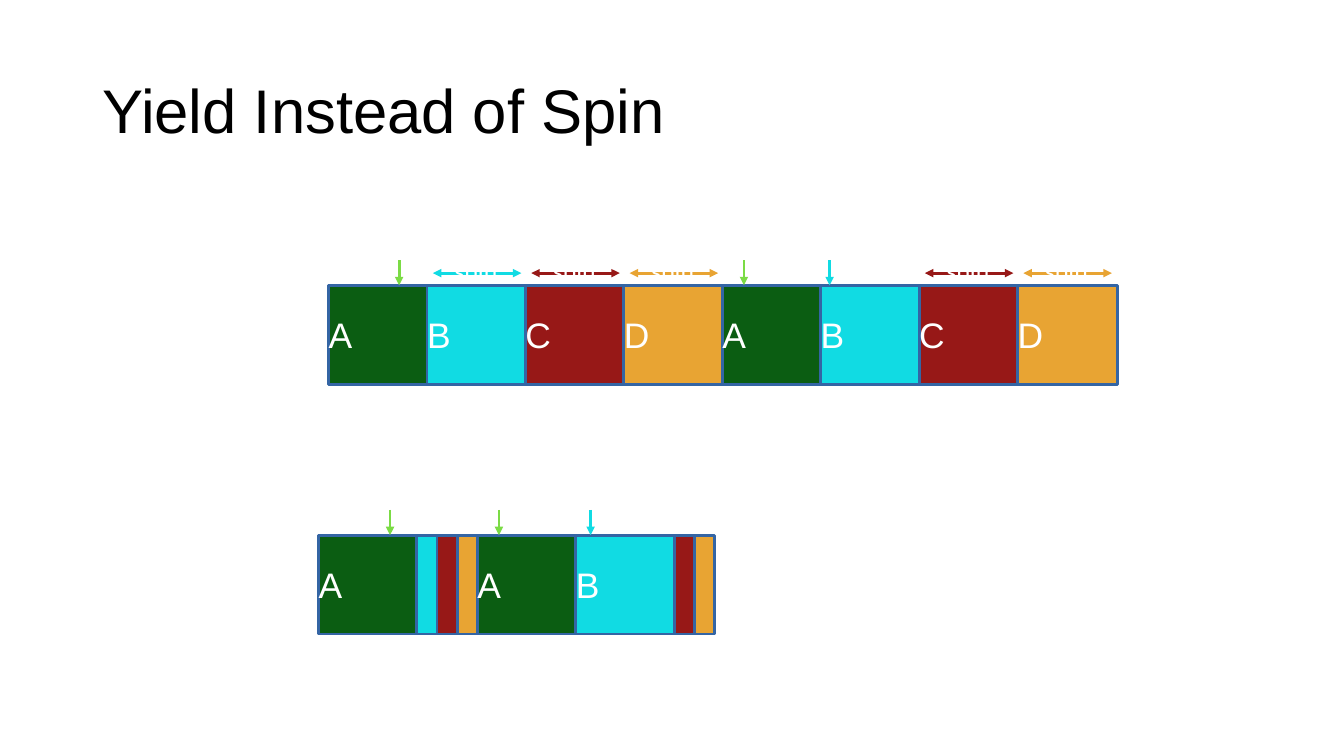
from lxml.etree import SubElement
from pptx import Presentation
from pptx.dml.color import RGBColor
from pptx.enum.shapes import MSO_CONNECTOR, MSO_SHAPE
from pptx.enum.text import MSO_ANCHOR, PP_ALIGN
from pptx.oxml.ns import qn
from pptx.util import Pt

BLACK = RGBColor(0x00, 0x00, 0x00)
WHITE = RGBColor(0xFF, 0xFF, 0xFF)
BORDER = RGBColor(0x34, 0x65, 0xA4)
GREEN = RGBColor(0x0B, 0x5D, 0x12)
CYAN = RGBColor(0x11, 0xDB, 0xE3)
RED = RGBColor(0x97, 0x18, 0x17)
AMBER = RGBColor(0xE8, 0xA4, 0x33)
LIME = RGBColor(0x7B, 0xDB, 0x45)

TITLE = "Yield Instead of Spin"
THREAD_COLORS = {"A": GREEN, "B": CYAN, "C": RED, "D": AMBER}
TIMELINES = [
    {
        "left": 234.7, "top": 203.8,
        "slots": [("A", "run"), ("B", "spin"), ("C", "spin"), ("D", "spin"),
                  ("A", "run"), ("B", "run"), ("C", "spin"), ("D", "spin")],
        "lock_events": {0: (50.4, LIME), 4: (15.5, LIME), 5: (6.4, CYAN)},
    },
    {
        "left": 227.5, "top": 382.3,
        "slots": [("A", "run"), ("B", "yield"), ("C", "yield"), ("D", "yield"),
                  ("A", "run"), ("B", "run"), ("C", "yield"), ("D", "yield")],
        "lock_events": {0: (51.1, LIME), 4: (15.4, LIME), 5: (10.6, CYAN)},
    },
]

FULL_STEP, YIELD_STEP = 70.3, 14.4
FULL_WIDTH, YIELD_WIDTH = 71.3, 14.4
SLOT_HEIGHT = 70.6
SPIN_RISE, SPIN_INSET, SPIN_LENGTH = 8.7, 4.2, 63.2
LOCK_LENGTH = 18


def write_text(box, text, size, color, font="Arial", inset=0, align=PP_ALIGN.LEFT,
               wrap=True, spacing=None):
    frame = box.text_frame
    frame.word_wrap = wrap
    frame.vertical_anchor = MSO_ANCHOR.MIDDLE
    frame.margin_left = frame.margin_right = Pt(inset)
    frame.margin_top = frame.margin_bottom = Pt(inset / 2)
    para = frame.paragraphs[0]
    para.alignment = align
    para.line_spacing = spacing
    span = para.add_run()
    span.text = text
    span.font.name = font
    span.font.size = Pt(size)
    span.font.color.rgb = color


def add_arrow(page, start, end, color, double=False):
    arrow = page.shapes.add_connector(
        MSO_CONNECTOR.STRAIGHT, *(Pt(value) for value in start + end))
    arrow.line.color.rgb = color
    arrow.line.width = Pt(2)
    line = arrow.line._get_or_add_ln()
    if double:
        SubElement(line, qn("a:headEnd"), type="triangle")
    SubElement(line, qn("a:tailEnd"), type="triangle")
    SubElement(arrow._element.spPr, qn("a:effectLst"))


def add_spin(page, left, top, color):
    level = top - SPIN_RISE
    start = left + SPIN_INSET
    add_arrow(page, (start, level), (start + SPIN_LENGTH, level), color, double=True)
    box = page.shapes.add_textbox(Pt(left + 19.4), Pt(level - 13), Pt(31), Pt(22.3))
    write_text(box, "spin", 18.3, WHITE, font="Calibri", align=PP_ALIGN.CENTER, wrap=False)


def add_slot(page, left, top, thread, state):
    width = YIELD_WIDTH if state == "yield" else FULL_WIDTH
    slot = page.shapes.add_shape(
        MSO_SHAPE.RECTANGLE, Pt(left), Pt(top), Pt(width), Pt(SLOT_HEIGHT))
    slot.shadow.inherit = False
    slot.fill.solid()
    slot.fill.fore_color.rgb = THREAD_COLORS[thread]
    slot.line.color.rgb = BORDER
    slot.line.width = Pt(2)
    if state != "yield":
        write_text(slot, thread, 25.3, WHITE)


def add_timeline(page, left, top, slots, lock_events):
    for index, (thread, state) in enumerate(slots):
        if state == "spin":
            add_spin(page, left, top, THREAD_COLORS[thread])
        add_slot(page, left, top, thread, state)
        if index in lock_events:
            offset, color = lock_events[index]
            moment = left + offset
            add_arrow(page, (moment, top - LOCK_LENGTH), (moment, top), color)
        left += YIELD_STEP if state == "yield" else FULL_STEP


def main():
    deck = Presentation()
    deck.slide_width, deck.slide_height = Pt(960), Pt(540)
    page = deck.slides.add_slide(deck.slide_layouts[6])
    for timeline in TIMELINES:
        add_timeline(page, **timeline)
    title = page.shapes.add_textbox(Pt(66), Pt(28.8), Pt(828), Pt(104.4))
    write_text(title, TITLE, 44, BLACK, inset=7.2, spacing=0.9)
    deck.save("out.pptx")


if __name__ == "__main__":
    main()
